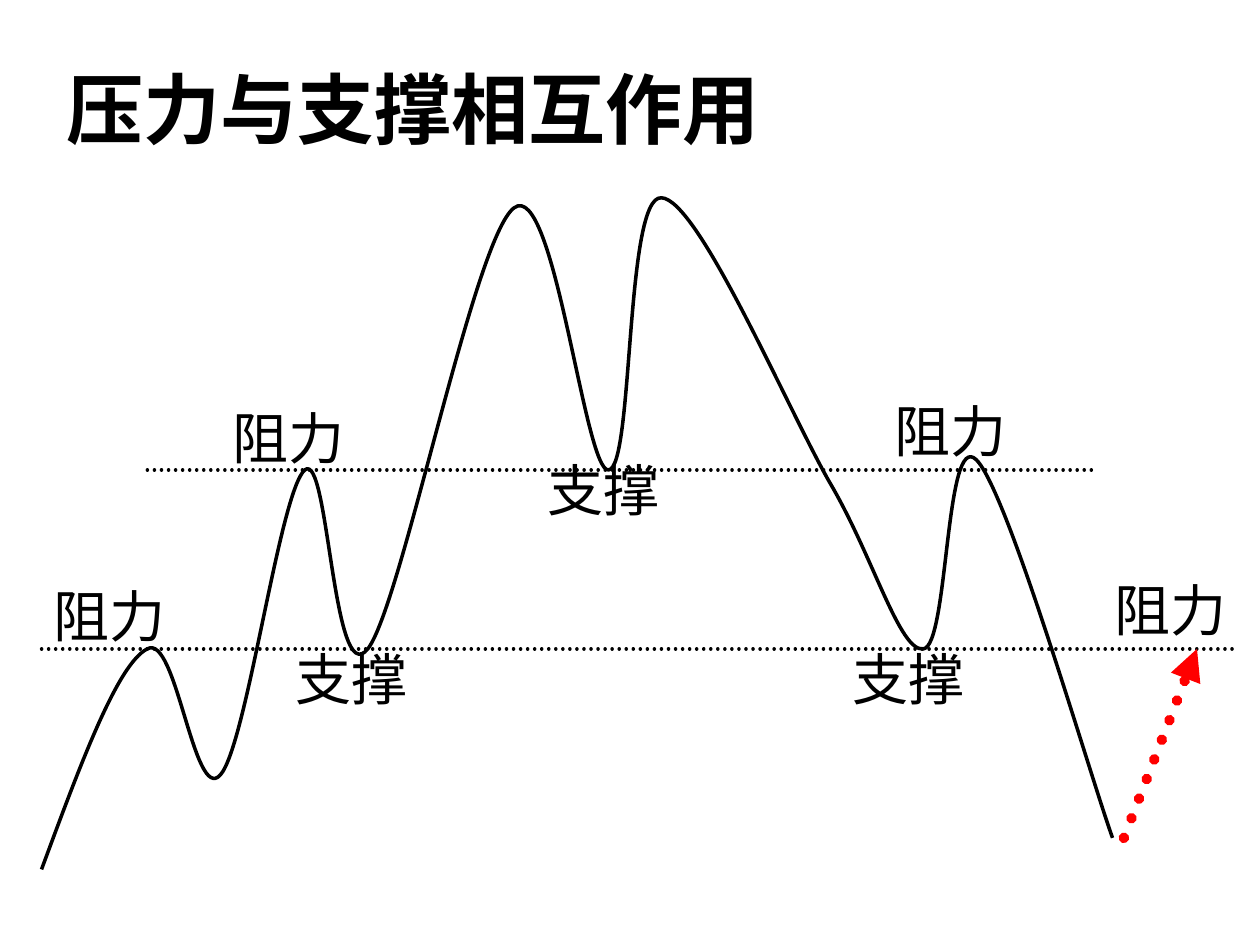
from lxml import etree
from pptx import Presentation
from pptx.dml.color import RGBColor
from pptx.enum.dml import MSO_LINE
from pptx.enum.shapes import MSO_CONNECTOR
from pptx.enum.text import MSO_AUTO_SIZE
from pptx.oxml.ns import qn
from pptx.util import Inches, Pt

BLACK, RED = "000000", "FF0000"


def set_line(line, color, width):
    line.color.rgb = RGBColor.from_string(color)
    line.width = Pt(width)


def add_text(text, x, y, w, h, size, font, bold=False):
    box = s.shapes.add_textbox(Inches(x), Inches(y), Inches(w), Inches(h))
    tf = box.text_frame
    tf.word_wrap = True
    tf.auto_size = MSO_AUTO_SIZE.SHAPE_TO_FIT_TEXT
    r = tf.paragraphs[0].add_run()
    r.text = text
    r.font.size = Pt(size)
    r.font.name = font
    r.font.bold = bold
    r.font.color.rgb = RGBColor.from_string(BLACK)
    # Chinese text takes its typeface from the East Asian slot
    ea = etree.SubElement(r.font._element, qn("a:ea"))
    ea.set("typeface", font)


prs = Presentation()
prs.slide_width, prs.slide_height = Inches(10), Inches(7.5)
s = prs.slides.add_slide(prs.slide_layouts[6])

# Dotted price levels and the arrow of the expected rebound
dotted_lines = [
    (0.33, 5.15, 9.83, 5.15, BLACK, 2),
    (1.17, 3.73, 8.67, 3.73, BLACK, 2),
    (8.92, 6.65, 9.5, 5.15, RED, 6),
]
for x1, y1, x2, y2, color, width in dotted_lines:
    cn = s.shapes.add_connector(MSO_CONNECTOR.STRAIGHT, Inches(x1), Inches(y1), Inches(x2), Inches(y2))
    set_line(cn.line, color, width)
    cn.line.dash_style = MSO_LINE.ROUND_DOT
    sp_pr = cn._element.spPr
    ln = sp_pr.find(qn("a:ln"))
    ln.set("cap", "rnd")
    if color == RED:
        etree.SubElement(ln, qn("a:tailEnd")).set("type", "triangle")
    etree.SubElement(sp_pr, qn("a:effectLst"))

# Price curve: a start point, then two control points and an end point per segment
start = (0.33, 6.9)
segments = [
    [(0.63, 6.09), (0.93, 5.27), (1.17, 5.15)],
    [(1.4, 5.02), (1.54, 6.39), (1.75, 6.15)],
    [(1.96, 5.91), (2.22, 3.9), (2.42, 3.73)],
    [(2.61, 3.57), (2.64, 5.5), (2.92, 5.15)],
    [(3.19, 4.8), (3.76, 1.89), (4.08, 1.65)],
    [(4.4, 1.41), (4.64, 3.75), (4.83, 3.73)],
    [(5.03, 3.72), (4.96, 1.55), (5.25, 1.57)],
    [(5.54, 1.58), (6.24, 3.22), (6.58, 3.82)],
    [(6.93, 4.41), (7.14, 5.18), (7.33, 5.15)],
    [(7.53, 5.12), (7.5, 3.4), (7.75, 3.65)],
    [(8, 3.9), (8.65, 6.15), (8.83, 6.65)],
]
fb = s.shapes.build_freeform(Inches(start[0]), Inches(start[1]))
fb.add_line_segments([(Inches(x), Inches(y)) for seg in segments for x, y in seg], close=False)
curve = fb.convert_to_shape()
curve.shadow.inherit = False
curve.fill.background()
set_line(curve.line, BLACK, 2)

# Turn every three straight steps into one cubic Bézier segment
outline = next(curve._element.iter(qn("a:path")))
steps = outline.findall(qn("a:lnTo"))
for i in range(0, len(steps), 3):
    bezier = etree.SubElement(outline, qn("a:cubicBezTo"))
    for step in steps[i:i + 3]:
        bezier.append(step[0])
        outline.remove(step)

labels = [
    ("阻力", 0.33, 4.57, 1.58),
    ("支撑", 2.25, 5.07, 1.58),
    ("阻力", 1.75, 3.15, 1.58),
    ("支撑", 4.25, 3.57, 1.58),
    ("阻力", 7, 3.1, 1.58),
    ("支撑", 6.67, 5.07, 1.58),
    ("阻力", 8.75, 4.52, 1.17),
]
for text, x, y, w in labels:
    add_text(text, x, y, w, 0.64, 32, "Montserrat")
add_text("压力与支撑相互作用", 0.43, 0.44, 7.24, 0.84, 44, "Arial", bold=True)

prs.save("out.pptx")
